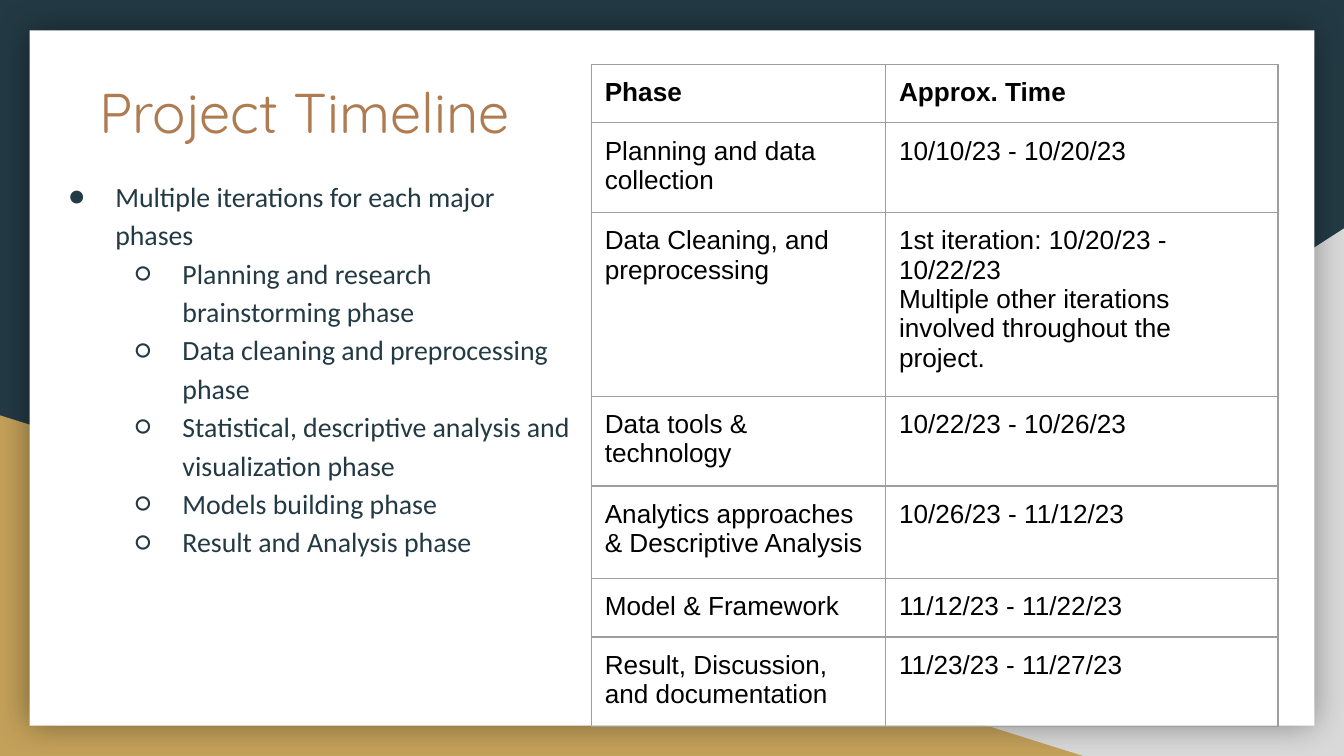
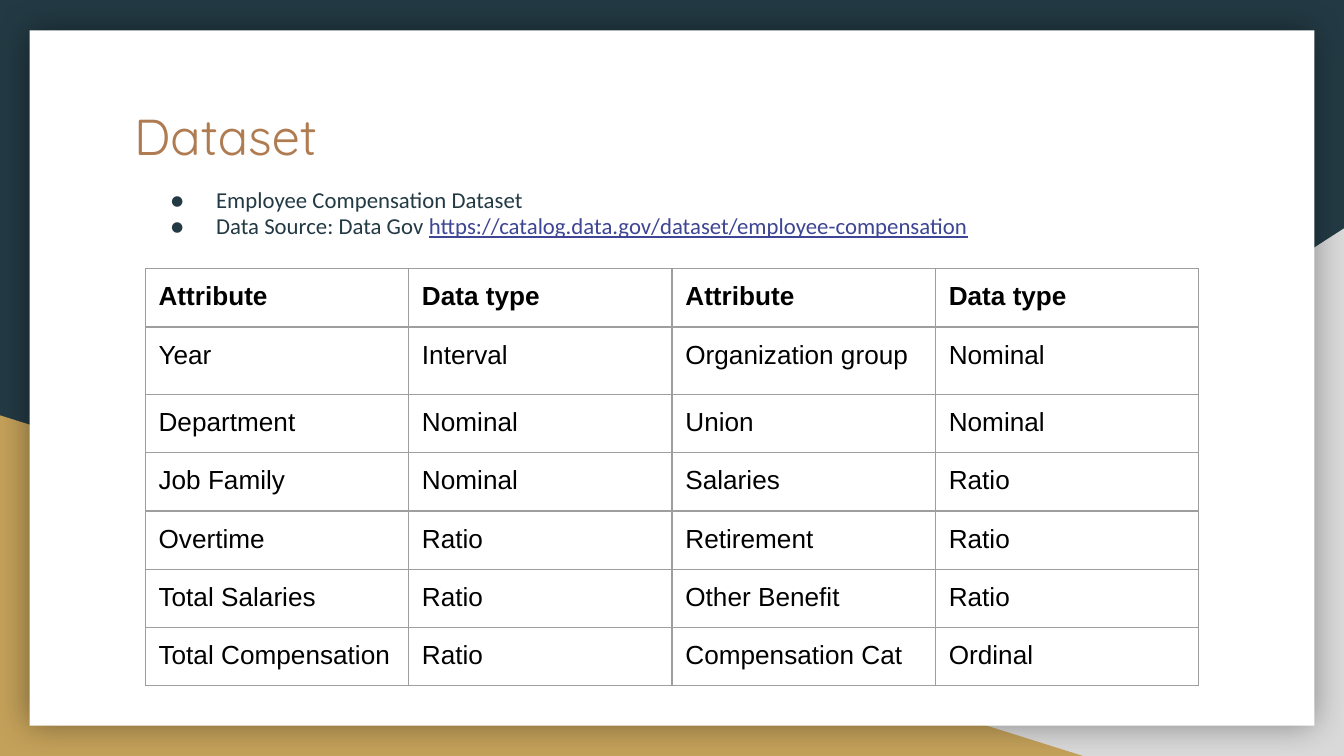
from dataclasses import dataclass
from typing import NamedTuple

from lxml import etree
from pptx import Presentation
from pptx.dml.color import RGBColor
from pptx.enum.shapes import MSO_SHAPE
from pptx.enum.text import MSO_ANCHOR
from pptx.oxml.ns import qn
from pptx.util import Inches, Pt

TRIANGLE = MSO_SHAPE.RIGHT_TRIANGLE
RECTANGLE = MSO_SHAPE.RECTANGLE
TOP = MSO_ANCHOR.TOP

# Slide grid: 100 columns by 56.25 rows of square cells
CELL = Inches(0.1)
COLUMNS, ROWS = 100, 56.25


@dataclass(frozen=True)
class Theme:
    navy: str = "233A44"
    grey: str = "D9D9D9"
    gold: str = "C4A15A"
    white: str = "FFFFFF"
    copper: str = "AF7B51"
    link: str = "3D4594"
    black: str = "000000"
    border: str = "9E9E9E"
    title_font: str = "Quicksand"
    body_font: str = "Calibri"
    table_font: str = "Arial"
    table_size: float = 14
    border_width: float = 0.75
    shadow_blur: float = 18
    shadow_opacity: int = 40


THEME = Theme()


class Area(NamedTuple):
    column: float
    row: float
    width: float
    height: float


class Panel(NamedTuple):
    preset: MSO_SHAPE
    area: Area
    color: str
    flipped: bool = False
    shadowed: bool = False


class Bullet(NamedTuple):
    text: str
    level: int = 0
    link: str = ""


class BulletStyle(NamedTuple):
    size: float
    line_spacing: float
    hanging: float


class Grid(NamedTuple):
    column: float
    row: float
    widths: list[float]
    heights: list[float]
    cells: list[list[str]]


class Page(NamedTuple):
    title: str
    title_area: Area
    title_size: float
    bullets: list[Bullet]
    bullet_area: Area
    bullet_style: BulletStyle
    grid: Grid


BACKDROP = [
    Panel(TRIANGLE, Area(39.2, 17, 60.8, 39.25), THEME.grey, flipped=True),
    Panel(TRIANGLE, Area(0, 30.9, 80.6, 25.35), THEME.gold),
    Panel(RECTANGLE, Area(2.2, 2.25, 95.6, 51.75), THEME.white, shadowed=True),
]
BULLET_MARKS = "●○"

PAGES = [
    Page(
        "Project Timeline", Area(6.4, 4.8, 37.1, 7.2), 30,
        [
            Bullet("Multiple iterations for each major phases"),
            Bullet("Planning and research brainstorming phase", 1),
            Bullet("Data cleaning and preprocessing phase", 1),
            Bullet("Statistical, descriptive analysis and visualization phase", 1),
            Bullet("Models building phase", 1),
            Bullet("Result and Analysis phase", 1),
        ],
        Area(2.6, 12, 41.4, 40.9), BulletStyle(14.9, 1.15, 3.5),
        Grid(
            44, 4.8, [21.9, 29.2], [4, 6.2, 12.7, 5.1, 6.9, 4, 6.2],
            [
                ["Phase", "Approx. Time"],
                ["Planning and data collection", "10/10/23 - 10/20/23"],
                ["Data Cleaning, and preprocessing",
                 "1st iteration: 10/20/23 - 10/22/23\n"
                 "Multiple other iterations involved throughout the project."],
                ["Data tools & technology", "10/22/23 - 10/26/23"],
                ["Analytics approaches & Descriptive Analysis", "10/26/23 - 11/12/23"],
                ["Model & Framework", "11/12/23 - 11/22/23"],
                ["Result, Discussion, and documentation", "11/23/23 - 11/27/23"],
            ],
        ),
    ),
    Page(
        "Dataset", Area(9, 6.8, 82.1, 5.6), 27,
        [
            Bullet("Employee Compensation Dataset"),
            Bullet("Data Source: Data Gov ",
                   link="https://catalog.data.gov/dataset/employee-compensation"),
        ],
        Area(10.1, 13, 66.3, 7.7), BulletStyle(12.2, 0.95, 3.4),
        Grid(
            10.8, 20, [19.6] * 4, [4.2, 5] + [4.2] * 5,
            [
                ["Attribute", "Data type"] * 2,
                ["Year", "Interval", "Organization group", "Nominal"],
                ["Department", "Nominal", "Union", "Nominal"],
                ["Job Family", "Nominal", "Salaries", "Ratio"],
                ["Overtime", "Ratio", "Retirement", "Ratio"],
                ["Total Salaries", "Ratio", "Other Benefit", "Ratio"],
                ["Total Compensation", "Ratio", "Compensation Cat", "Ordinal"],
            ],
        ),
    ),
]


def cells(count: float) -> int:
    return round(count * CELL)


def place(area: Area) -> list[int]:
    return [cells(length) for length in area]


def set_attributes(target, values: dict) -> None:
    for name, value in values.items():
        setattr(target, name, value)


def add_child(parent, tag: str, **attributes):
    return etree.SubElement(parent, qn(tag), attributes)


def add_run(paragraph, text: str, font: str, size: float, color: str, **extra) -> None:
    run = paragraph.add_run()
    run.text = text
    set_attributes(run.font, {"name": font, "size": Pt(size), **extra})
    run.font.color.rgb = RGBColor.from_string(color)


def add_panel(slide, panel: Panel) -> None:
    shape = slide.shapes.add_shape(panel.preset, *place(panel.area))
    shape.fill.solid()
    shape.fill.fore_color.rgb = RGBColor.from_string(panel.color)
    shape.line.fill.background()
    shape.shadow.inherit = False
    properties = shape.element.spPr
    if panel.flipped:
        properties.find(qn("a:xfrm")).set("flipH", "1")
    if panel.shadowed:
        shadow = add_child(properties.find(qn("a:effectLst")), "a:outerShdw",
                           blurRad=str(Pt(THEME.shadow_blur)), dist="0", dir="0",
                           algn="ctr", rotWithShape="0")
        color = add_child(shadow, "a:srgbClr", val=THEME.black)
        add_child(color, "a:alpha", val=str(THEME.shadow_opacity * 1000))


def add_text_frame(slide, area: Area):
    frame = slide.shapes.add_textbox(*place(area)).text_frame
    margins = dict.fromkeys(
        ("margin_left", "margin_right", "margin_top", "margin_bottom"), CELL)
    set_attributes(frame, {"word_wrap": True, "vertical_anchor": TOP, **margins})
    return frame


def add_bullets(slide, area: Area, bullets: list[Bullet], style: BulletStyle) -> None:
    frame = add_text_frame(slide, area)
    for index, bullet in enumerate(bullets):
        paragraph = frame.add_paragraph() if index else frame.paragraphs[0]
        set_attributes(paragraph, {"level": bullet.level,
                                   "line_spacing": style.line_spacing})
        properties = paragraph._p.get_or_add_pPr()
        properties.set("marL", str(cells(5 * (bullet.level + 1))))
        properties.set("indent", str(-cells(style.hanging)))
        color = add_child(properties, "a:buClr")
        add_child(color, "a:srgbClr", val=THEME.navy)
        add_child(properties, "a:buFont", typeface=THEME.body_font)
        add_child(properties, "a:buChar", char=BULLET_MARKS[bullet.level])
        add_run(paragraph, bullet.text, THEME.body_font, style.size, THEME.navy)
        if bullet.link:
            add_run(paragraph, bullet.link, THEME.body_font, style.size,
                    THEME.link, underline=True)


def format_cell(cell, text: str, bold: bool) -> None:
    margins = dict.fromkeys(
        ("margin_left", "margin_right", "margin_top", "margin_bottom"), CELL)
    set_attributes(cell, {"vertical_anchor": TOP, **margins})
    for index, line in enumerate(text.split("\n")):
        frame = cell.text_frame
        paragraph = frame.add_paragraph() if index else frame.paragraphs[0]
        add_run(paragraph, line, THEME.table_font, THEME.table_size,
                THEME.black, bold=bold)
    properties = cell._tc.get_or_add_tcPr()
    for side in ("a:lnL", "a:lnR", "a:lnT", "a:lnB"):
        border = add_child(properties, side, w=str(Pt(THEME.border_width)))
        fill = add_child(border, "a:solidFill")
        add_child(fill, "a:srgbClr", val=THEME.border)
    cell.fill.background()


def add_grid(slide, grid: Grid) -> None:
    area = Area(grid.column, grid.row, sum(grid.widths), sum(grid.heights))
    table = slide.shapes.add_table(
        len(grid.heights), len(grid.widths), *place(area)).table
    set_attributes(table, {"first_row": False, "horz_banding": False})
    for column, width in zip(table.columns, grid.widths):
        column.width = cells(width)
    for index, (row, height) in enumerate(zip(table.rows, grid.heights)):
        row.height = cells(height)
        for cell, text in zip(row.cells, grid.cells[index]):
            format_cell(cell, text, bold=index == 0)


def add_page(presentation, page: Page) -> None:
    slide = presentation.slides.add_slide(presentation.slide_layouts[6])
    # Shared background and white card
    slide.background.fill.solid()
    slide.background.fill.fore_color.rgb = RGBColor.from_string(THEME.navy)
    for panel in BACKDROP:
        add_panel(slide, panel)
    # Title, bullets and table
    title = add_text_frame(slide, page.title_area).paragraphs[0]
    add_run(title, page.title, THEME.title_font, page.title_size, THEME.copper)
    add_bullets(slide, page.bullet_area, page.bullets, page.bullet_style)
    add_grid(slide, page.grid)


def main() -> None:
    presentation = Presentation()
    set_attributes(presentation, {"slide_width": cells(COLUMNS),
                                  "slide_height": cells(ROWS)})
    for page in PAGES:
        add_page(presentation, page)
    presentation.save("out.pptx")


if __name__ == "__main__":
    main()
